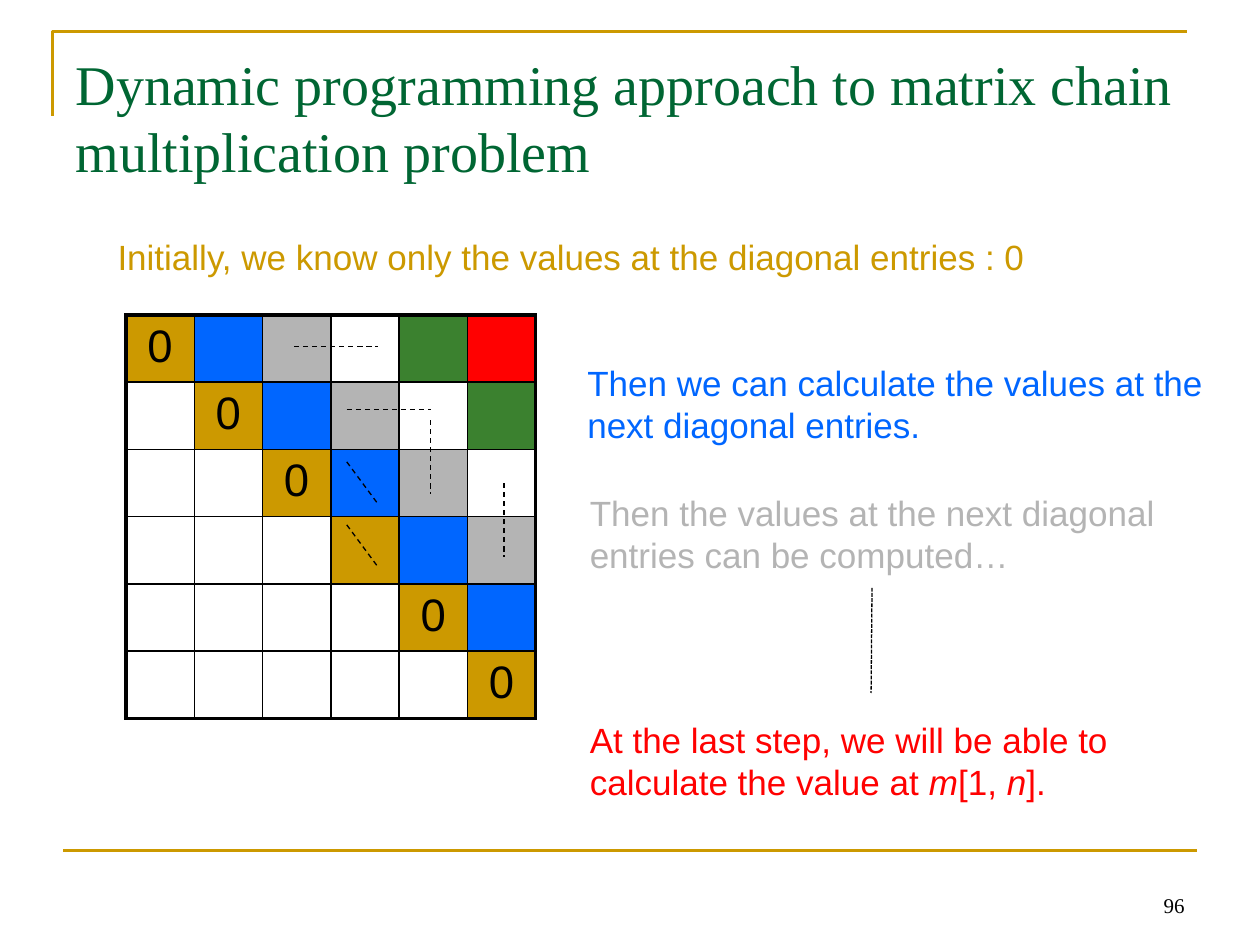
from lxml import etree
from pptx import Presentation
from pptx.dml.color import RGBColor
from pptx.enum.dml import MSO_LINE
from pptx.enum.shapes import MSO_CONNECTOR
from pptx.enum.text import MSO_ANCHOR, PP_ALIGN
from pptx.oxml.ns import qn
from pptx.util import Cm, Pt

STRAIGHT = MSO_CONNECTOR.STRAIGHT
DASH, SHORT_DASH = MSO_LINE.DASH, MSO_LINE.SQUARE_DOT
LEFT, CENTER, RIGHT = PP_ALIGN.LEFT, PP_ALIGN.CENTER, PP_ALIGN.RIGHT
MIDDLE, BOTTOM = MSO_ANCHOR.MIDDLE, MSO_ANCHOR.BOTTOM

COLORS = {
    "gold": "CC9900",
    "blue": "0066FF",
    "gray": "B4B4B4",
    "green": "3B812F",
    "red": "FF0101",
    "title": "006633",
    "black": "000000",
}
SANS, SERIF = "Arial", "Times New Roman"
SIZE = 6
UNKNOWN_ROW = 3
DIAGONALS = ["gold", "blue", "gray", None, "green", "red"]

NOTES = [
    (2.12, 4.62, 18.82, 1.09, "gold",
     [[("Initially, we know only the values at the diagonal entries : 0", False)]]),
    (11.59, 7.17, 13.08, 1.96, "blue",
     [[("Then we can calculate the values at the", False)],
      [("next diagonal entries.", False)]]),
    (11.64, 9.78, 12.07, 1.96, "gray",
     [[("Then the values at the next diagonal", False)],
      [("entries can be computed…", False)]]),
    (11.64, 14.35, 11.13, 1.96, "red",
     [[("At the last step, we will be able to", False)],
      [("calculate the value at ", False), ("m", True), ("[1, ", False),
       ("n", True), ("].", False)]]),
]

DASHED_LINES = [
    (5.93, 6.99, 7.62, 6.99),
    (6.99, 8.26, 8.68, 8.26),
    (8.68, 8.47, 8.68, 9.95),
    (10.16, 9.74, 10.16, 11.22),
    (6.99, 9.31, 7.62, 10.16),
    (6.99, 10.58, 7.62, 11.43),
]


def rgb(name):
    return RGBColor.from_string(COLORS[name])


def add_run(p, text, size, color, font=SANS, italic=False):
    r = p.add_run()
    r.text = text
    r.font.size = Pt(size)
    r.font.name = font
    r.font.italic = italic
    r.font.color.rgb = rgb(color)


def set_title(s, text):
    sp = s.shapes.title
    sp.left, sp.top, sp.width, sp.height = Cm(1.27), Cm(0.76), Cm(22.86), Cm(3.18)
    tf = sp.text_frame
    tf.word_wrap = True
    tf.vertical_anchor = MIDDLE
    p = tf.paragraphs[0]
    p.alignment = LEFT
    add_run(p, text, 32, "title", SERIF)


def add_note(s, left, top, width, height, color, lines):
    tf = s.shapes.add_textbox(Cm(left), Cm(top), Cm(width), Cm(height)).text_frame
    tf.word_wrap = False
    for i, line in enumerate(lines):
        p = tf.add_paragraph() if i else tf.paragraphs[0]
        for text, italic in line:
            add_run(p, text, 20, color, italic=italic)


def add_page_number(s, number):
    tf = s.shapes.add_textbox(Cm(18.2), Cm(17.36), Cm(5.93), Cm(1.27)).text_frame
    tf.word_wrap = True
    tf.vertical_anchor = BOTTOM
    p = tf.paragraphs[0]
    p.alignment = RIGHT
    add_run(p, number, 12, "black", SERIF)


def add_line(s, x1, y1, x2, y2, color="black", width=0.75, dash=None):
    line = s.shapes.add_connector(STRAIGHT, Cm(x1), Cm(y1), Cm(x2), Cm(y2))
    line.line.color.rgb = rgb(color)
    line.line.width = Pt(width)
    if dash is not None:
        line.line.dash_style = dash
    etree.SubElement(line._element.spPr, qn("a:effectLst"))


def add_corner_frame(s):
    fb = s.shapes.build_freeform(Cm(1.06), Cm(2.33))
    fb.add_line_segments([(Cm(1.06), Cm(0.64)), (Cm(23.92), Cm(0.64))], close=False)
    sp = fb.convert_to_shape()
    sp.shadow.inherit = False
    sp.fill.background()
    sp.line.color.rgb = rgb("gold")
    sp.line.width = Pt(1.5)


def set_borders(cell, widths):
    tc_pr = cell._tc.get_or_add_tcPr()
    for side, width in widths.items():
        ln = etree.SubElement(tc_pr, qn(f"a:ln{side}"), w=str(Pt(width)))
        fill = etree.SubElement(ln, qn("a:solidFill"))
        etree.SubElement(fill, qn("a:srgbClr"), val=COLORS["black"])


def add_matrix(s):
    frame = s.shapes.add_table(SIZE, SIZE, Cm(2.54), Cm(6.35), Cm(8.26), Cm(8.13))
    table = frame.table
    table.first_row = table.horz_banding = False
    outer = {0: 2.25}
    for i in range(SIZE):
        for j in range(SIZE):
            cell = table.cell(i, j)
            set_borders(cell, {
                "L": outer.get(j, 1),
                "R": outer.get(SIZE - 1 - j, 1),
                "T": outer.get(i, 1),
                "B": outer.get(SIZE - 1 - i, 1),
            })
            color = DIAGONALS[j - i] if j >= i else None
            if color:
                cell.fill.solid()
                cell.fill.fore_color.rgb = rgb(color)
            else:
                cell.fill.background()
            if i == j and i != UNKNOWN_ROW:
                p = cell.text_frame.paragraphs[0]
                p.alignment = CENTER
                add_run(p, "0", 26, "black")


def main():
    prs = Presentation()
    prs.slide_width, prs.slide_height = Cm(25.4), Cm(19.05)
    s = prs.slides.add_slide(prs.slide_layouts[5])
    add_corner_frame(s)
    add_line(s, 1.27, 17.15, 24.13, 17.15, "gold", 1.5)
    add_page_number(s, "96")
    set_title(s, "Dynamic programming approach to matrix chain multiplication problem")
    add_matrix(s)
    for note in NOTES:
        add_note(s, *note)
    for points in DASHED_LINES:
        add_line(s, *points, dash=DASH)
    add_line(s, 17.58, 11.85, 17.56, 13.97, dash=SHORT_DASH)
    prs.save("out.pptx")


if __name__ == "__main__":
    main()
